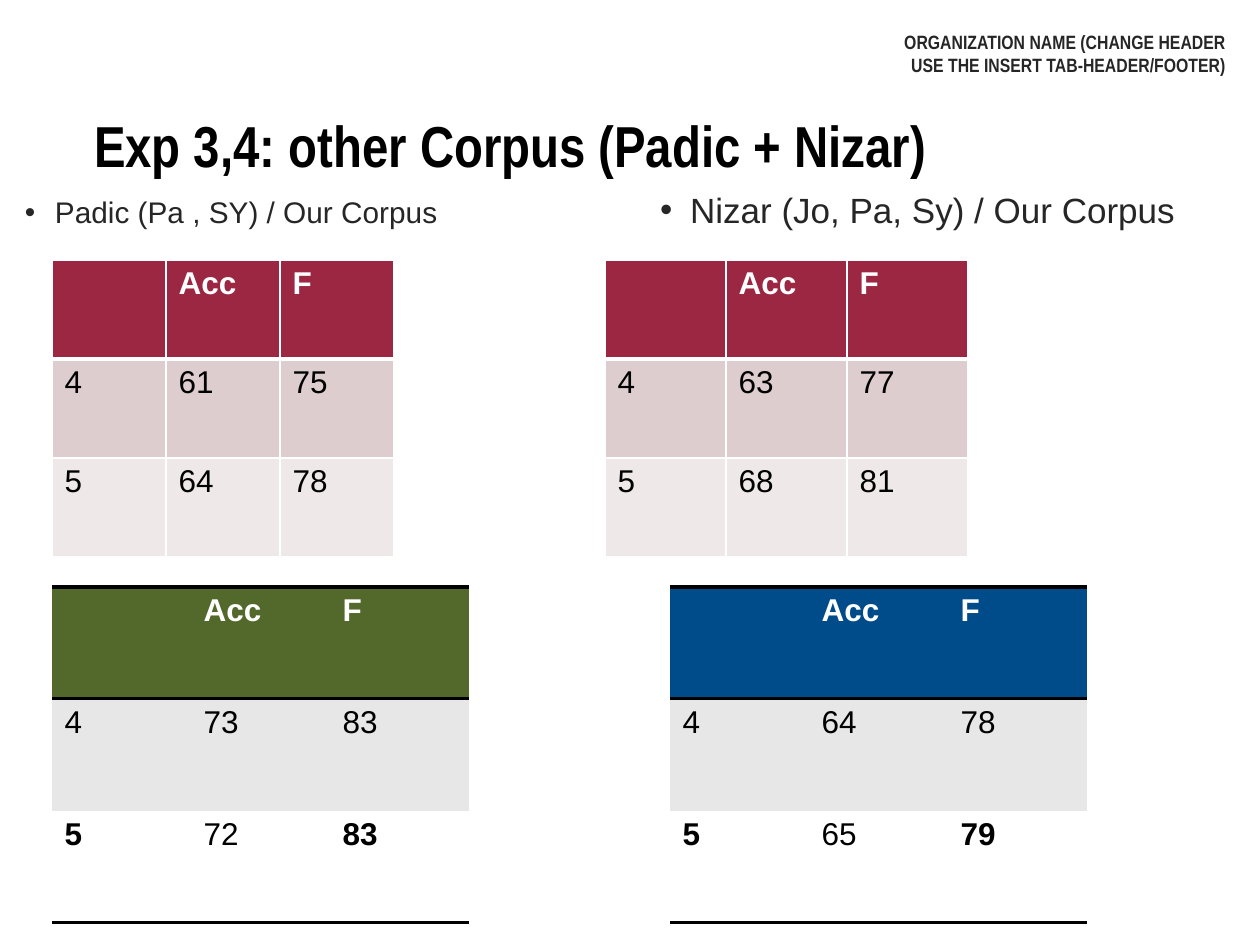
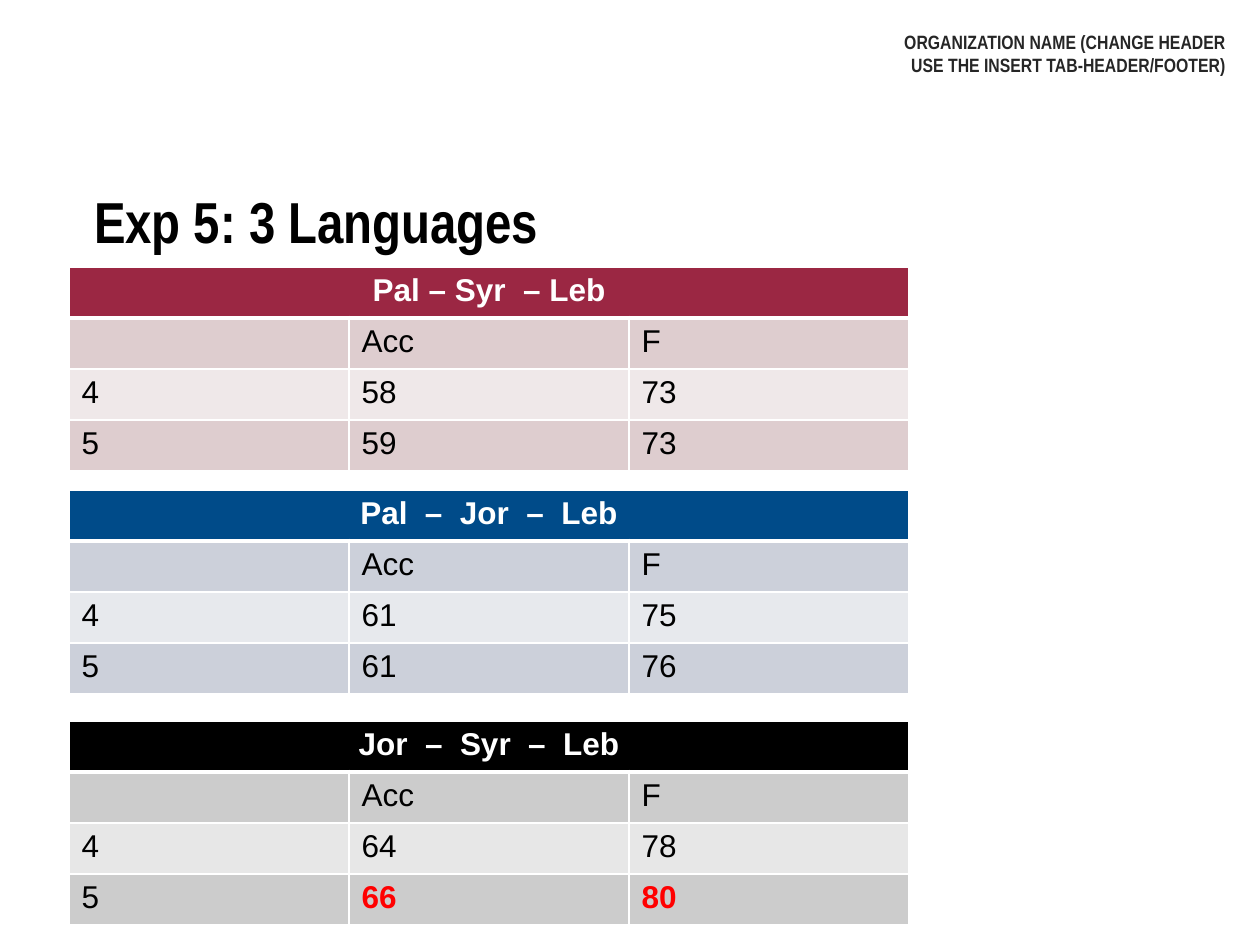
from lxml import etree
from pptx import Presentation
from pptx.dml.color import RGBColor
from pptx.enum.text import MSO_ANCHOR, MSO_AUTO_SIZE, PP_ALIGN
from pptx.oxml.ns import qn
from pptx.util import Pt

PX = 914400 / 126
LEFT, RIGHT, CENTER = PP_ALIGN.LEFT, PP_ALIGN.RIGHT, PP_ALIGN.CENTER
TOP, NO_FIT = MSO_ANCHOR.TOP, MSO_AUTO_SIZE.NONE

WHITE = RGBColor(0xFF, 0xFF, 0xFF)
BLACK = RGBColor(0x00, 0x00, 0x00)
INK = RGBColor(0x26, 0x26, 0x26)
RED = RGBColor(0xFF, 0x00, 0x00)
MAROON = RGBColor(0x9B, 0x27, 0x43)
ROSE = RGBColor(0xDE, 0xCD, 0xCF)
PALE_ROSE = RGBColor(0xEF, 0xE8, 0xE9)
GREEN = RGBColor(0x53, 0x68, 0x2B)
BLUE = RGBColor(0x00, 0x4B, 0x89)
MIST = RGBColor(0xCC, 0xD0, 0xDA)
PALE_MIST = RGBColor(0xE7, 0xE9, 0xED)
GREY = RGBColor(0xCC, 0xCC, 0xCC)
PALE_GREY = RGBColor(0xE7, 0xE7, 0xE7)

HEADER = "ORGANIZATION NAME (CHANGE HEADER USE THE INSERT TAB-HEADER/FOOTER)"


def fill_text(sp, box, text, size, font, color, bold=False, align=LEFT):
    """Place a shape and write one formatted paragraph in it."""
    sp.left, sp.top, sp.width, sp.height = (round(v * PX) for v in box)
    tf = sp.text_frame
    tf.word_wrap, tf.auto_size, tf.vertical_anchor = True, NO_FIT, TOP
    tf.margin_left = tf.margin_right = tf.margin_top = tf.margin_bottom = 0
    tf.text = text
    p = tf.paragraphs[0]
    p.alignment = align
    f = p.runs[0].font
    f.size, f.name, f.bold, f.color.rgb = Pt(size), font, bold, color
    return p


def add_grid(s, x, y, col_w, row_h, rows, fills, ruled=False, marked=(), mark_color=BLACK):
    """Add a table; ruled ones have black rules, the others a white grid."""
    n, m = len(rows), len(rows[0])
    box = (round(v * PX) for v in (x, y, col_w * m, row_h * n))
    table = s.shapes.add_table(n, m, *box).table
    for col in table.columns:
        col.width = round(col_w * PX)
    for row in table.rows:
        row.height = round(row_h * PX)
    for i, row in enumerate(rows):
        for j, text in enumerate(row):
            cell = table.cell(i, j)
            cell.fill.solid()
            cell.fill.fore_color.rgb = fills[i]
            cell.text = text
            for r in cell.text_frame.paragraphs[0].runs:
                f = r.font
                f.size, f.name = Pt(18), "Arial"
                f.bold = i == 0 or (i, j) in marked
                f.color.rgb = WHITE if i == 0 else mark_color if (i, j) in marked else BLACK
            # Borders: edges are numbered from the top of the table down
            tc_pr = cell.fill._xPr
            edges = {"a:lnL": None, "a:lnR": None, "a:lnT": i, "a:lnB": i + 1}
            for k, (tag, edge) in enumerate(edges.items()):
                ln = etree.Element(qn(tag))
                if ruled and edge not in (0, 1, n):
                    ln.set("w", "0")
                    etree.SubElement(ln, qn("a:noFill"))
                else:
                    ln.set("w", str(Pt(2 if ruled else 3 if edge == 1 else 1)))
                    solid = etree.SubElement(ln, qn("a:solidFill"))
                    color = BLACK if ruled else WHITE
                    etree.SubElement(solid, qn("a:srgbClr")).set("val", str(color))
                tc_pr.insert(k, ln)
    return table


prs = Presentation()
prs.slide_width, prs.slide_height = round(1260 * PX), round(945 * PX)

# Titles and running header
slides = []
for title, title_y in (("Exp 3,4: other Corpus (Padic + Nizar)", 118),
                       ("Exp 5: 3 Languages", 194)):
    s = prs.slides.add_slide(prs.slide_layouts[5])
    p = fill_text(s.shapes.title, (94, title_y, 1091, 110), title, 33, "Arial Narrow", BLACK, True)
    p.line_spacing = 0.9
    sp = s.shapes.add_textbox(0, 0, 0, 0)
    fill_text(sp, (878, 30, 348, 63), HEADER, 11, "Arial Narrow", INK, True, RIGHT)
    slides.append(s)
corpus_slide, languages_slide = slides

# Corpus bullets
for box, text, size, spacing in (
        ((25, 194, 444, 68), "Padic (Pa , SY) / Our Corpus", 17, 1.0),
        ((660, 184, 525, 74), "Nizar (Jo, Pa, Sy) / Our Corpus", 20, 1.1)):
    sp = corpus_slide.shapes.add_textbox(0, 0, 0, 0)
    p = fill_text(sp, box, text, size, "Arial", INK)
    p.line_spacing, p.space_before = spacing, Pt(8)
    p_pr = p._p.get_or_add_pPr()
    p_pr.set("marL", str(round(30 * PX)))
    p_pr.set("indent", str(round(-30 * PX)))
    etree.SubElement(p_pr, qn("a:buFont")).set("typeface", "Arial")
    etree.SubElement(p_pr, qn("a:buChar")).set("char", "•")

# Corpus scores: white grids above, ruled tables below
head = ("", "Acc", "F")
for x, col_w, four, five in ((52, 114, ("4", "61", "75"), ("5", "64", "78")),
                             (605, 121, ("4", "63", "77"), ("5", "68", "81"))):
    add_grid(corpus_slide, x, 260, col_w, 99, (head, four, five), (MAROON, ROSE, PALE_ROSE))
for x, color, four, five in ((52, GREEN, ("4", "73", "83"), ("5", "72", "83")),
                             (670, BLUE, ("4", "64", "78"), ("5", "65", "79"))):
    add_grid(corpus_slide, x, 587, 139, 112, (head, four, five), (color, PALE_GREY, WHITE),
             ruled=True, marked=((2, 0), (2, 2)))

# Three-language scores, with the best result in red
best = ((3, 1), (3, 2))
for y, name, four, five, colors, marked in (
        (267, "Pal – Syr  – Leb", ("4", "58", "73"), ("5", "59", "73"),
         (MAROON, ROSE, PALE_ROSE), ()),
        (490, "Pal  –  Jor  –  Leb", ("4", "61", "75"), ("5", "61", "76"),
         (BLUE, MIST, PALE_MIST), ()),
        (721, "Jor  –  Syr  –  Leb", ("4", "64", "78"), ("5", "66", "80"),
         (BLACK, GREY, PALE_GREY), best)):
    dark, mid, pale = colors
    table = add_grid(languages_slide, 69, y, 280, 51, ((name, "", ""), head, four, five),
                     (dark, mid, pale, mid), marked=marked, mark_color=RED)
    table.cell(0, 0).merge(table.cell(0, 2))
    table.cell(0, 0).text_frame.paragraphs[0].alignment = CENTER

prs.save("out.pptx")
